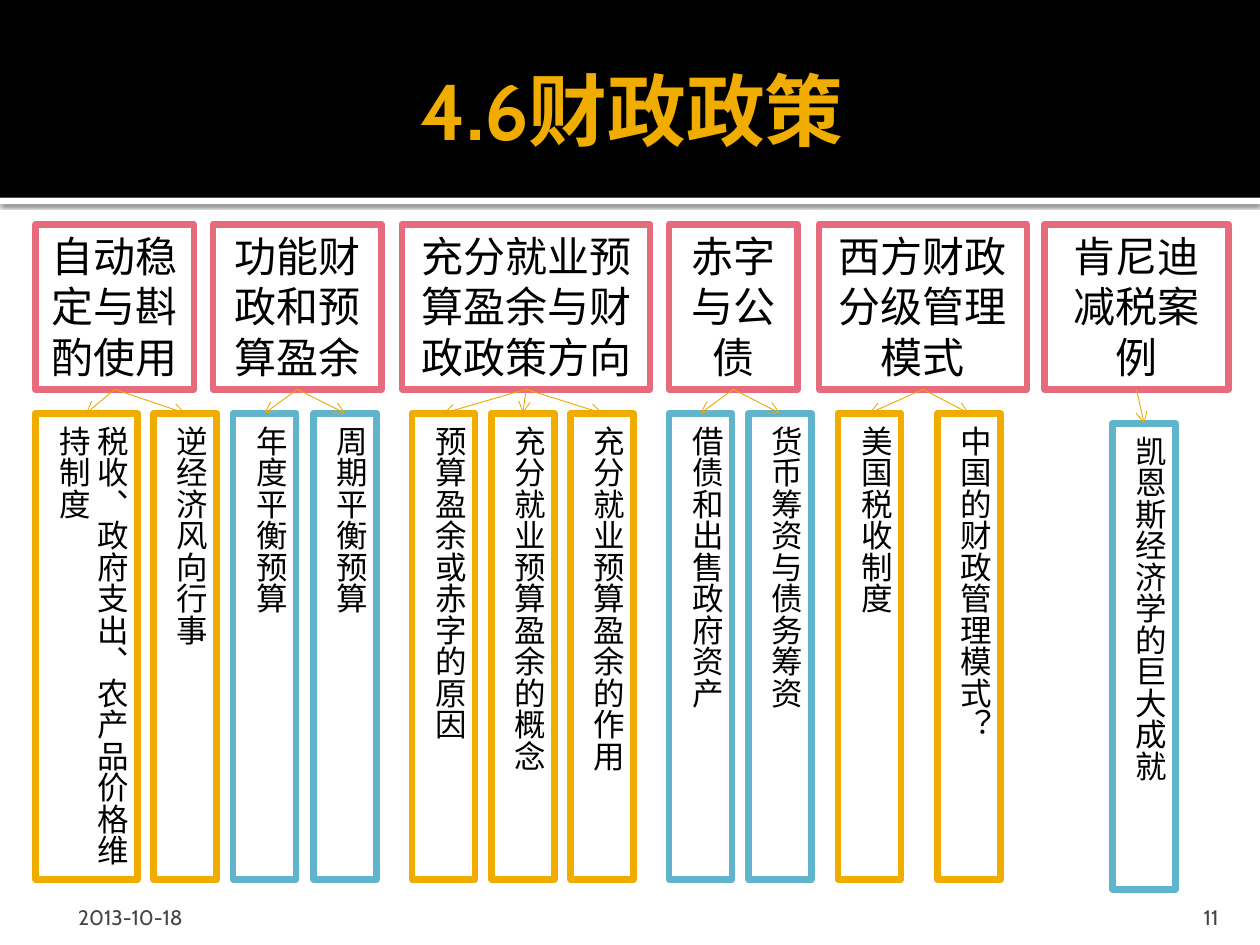
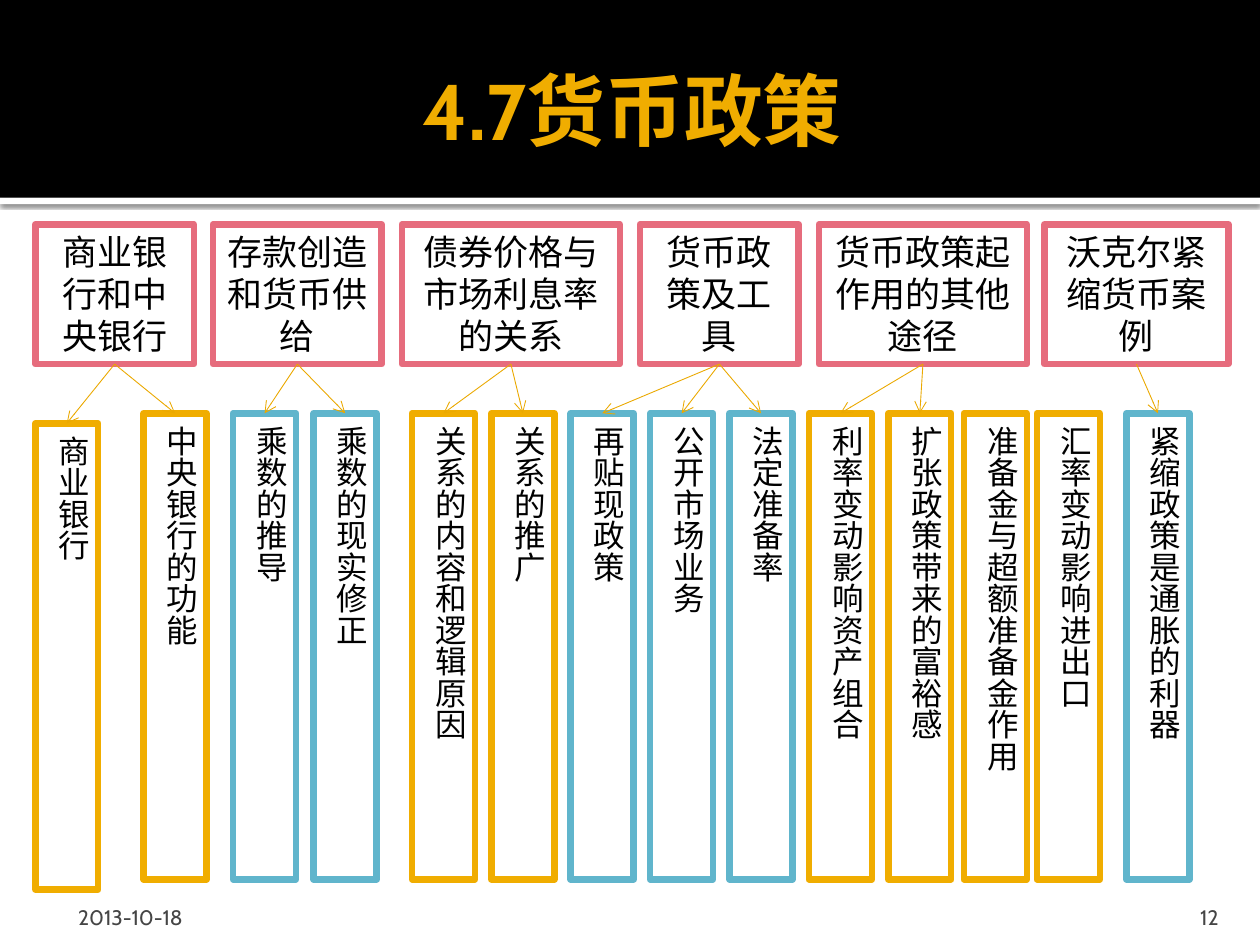
"""Build two policy outline slides with headed columns and arrows."""
from dataclasses import dataclass

import lxml.etree
import pptx
import pptx.dml.color
import pptx.enum.lang
import pptx.enum.shapes
import pptx.enum.text
import pptx.oxml
import pptx.oxml.ns
import pptx.util

Inches = pptx.util.Inches
RGBColor = pptx.dml.color.RGBColor
ALIGN = pptx.enum.text.PP_ALIGN
ANCHOR = pptx.enum.text.MSO_ANCHOR
FIT = pptx.enum.text.MSO_AUTO_SIZE
RECT = pptx.enum.shapes.MSO_SHAPE.RECTANGLE
LINE = pptx.enum.shapes.MSO_CONNECTOR.STRAIGHT
CHINESE = pptx.enum.lang.MSO_LANGUAGE_ID.SIMPLIFIED_CHINESE

BLACK = RGBColor(0x00, 0x00, 0x00)
WHITE = RGBColor(0xFF, 0xFF, 0xFF)
GOLD = RGBColor(0xF0, 0xAD, 0x00)
AMBER = RGBColor(0xEB, 0xA9, 0x00)
ROSE = RGBColor(0xE6, 0x6C, 0x7D)
BLUE = RGBColor(0x60, 0xB5, 0xCC)
GREY = RGBColor(0x45, 0x45, 0x45)
FONT = "Cabin"
HEAD_TOP = 1.78
LEAF_TALL = 3.7
DATE = "2013-10-18"


@dataclass(frozen=True)
class Leaf:
    text: str
    gap: float = 0.13
    wide: float = 0.5
    top: float = 3.28
    linked: bool = True


@dataclass(frozen=True)
class Group:
    text: str
    left: float
    wide: float
    start: float
    hue: RGBColor
    leaves: tuple[Leaf, ...]


@dataclass(frozen=True)
class Page:
    title: str
    number: str
    tall: float
    size: int
    groups: tuple[Group, ...]


PAGES = (
    Page("4.6财政政策", "11", 1.31, 24, (
        Group("自动稳定与斟酌使用", 0.28, 1.26, 0.28, GOLD, (
            Leaf("税收、政府支出、农产品价格维持制度", wide=0.81),
            Leaf("逆经济风向行事"))),
        Group("功能财政和预算盈余", 1.69, 1.34, 1.85, BLUE, (
            Leaf("年度平衡预算", 0.14), Leaf("周期平衡预算"))),
        Group("充分就业预算盈余与财政政策方向", 3.19, 1.97, 3.27, GOLD, (
            Leaf("预算盈余或赤字的原因"),
            Leaf("充分就业预算盈余的概念"),
            Leaf("充分就业预算盈余的作用"))),
        Group("赤字与公债", 5.31, 1.02, 5.31, BLUE, (
            Leaf("借债和出售政府资产"), Leaf("货币筹资与债务筹资"))),
        Group("西方财政分级管理模式", 6.5, 1.65, 6.65, GOLD, (
            Leaf("美国税收制度", 0.29), Leaf("中国的财政管理模式？"))),
        Group("肯尼迪减税案例", 8.29, 1.46, 8.83, BLUE, (
            Leaf("凯恩斯经济学的巨大成就", top=3.36),)),
    )),
    Page("4.7货币政策", "12", 1.11, 20, (
        Group("商业银行和中央银行", 0.28, 1.26, 0.28, GOLD, (
            Leaf("商业银行", 0.36, top=3.36), Leaf("中央银行的功能"))),
        Group("存款创造和货币供给", 1.69, 1.34, 1.85, BLUE, (
            Leaf("乘数的推导", 0.14), Leaf("乘数的现实修正"))),
        Group("债券价格与市场利息率的关系", 3.19, 1.73, 3.27, GOLD, (
            Leaf("关系的内容和逻辑原因"), Leaf("关系的推广"))),
        Group("货币政策及工具", 5.08, 1.26, 4.53, BLUE, (
            Leaf("再贴现政策"), Leaf("公开市场业务"), Leaf("法定准备率"))),
        Group("货币政策起作用的其他途径", 6.5, 1.65, 6.42, GOLD, (
            Leaf("利率变动影响资产组合"),
            Leaf("扩张政策带来的富裕感", 0.1),
            Leaf("准备金与超额准备金作用", 0.08, linked=False),
            Leaf("汇率变动影响进出口", linked=False))),
        Group("沃克尔紧缩货币案例", 8.29, 1.46, 8.94, BLUE, (
            Leaf("紧缩政策是通胀的利器"),)),
    )),
)


def write(shape, text: str, size: int, hue: RGBColor, align=ALIGN.LEFT,
          anchor=ANCHOR.TOP, pads=(0.1, 0.05, 0.1, 0.05), bold=False) -> None:
    frame = shape.text_frame
    frame.text = text
    frame.word_wrap = True
    frame.vertical_anchor = anchor
    (frame.margin_left, frame.margin_top,
     frame.margin_right, frame.margin_bottom) = map(Inches, pads)
    line = frame.paragraphs[0]
    line.alignment = align
    for run in line.runs:
        run.font.name = FONT
        run.font.size = pptx.util.Pt(size)
        run.font.bold = bold
        run.font.color.rgb = hue
        run.font.language_id = CHINESE


def add_rect(slide, left: float, top: float, wide: float, tall: float,
             fill: RGBColor, edge: RGBColor | None = None):
    rect = slide.shapes.add_shape(RECT, *map(Inches, (left, top, wide, tall)))
    rect.shadow.inherit = False
    rect.fill.solid()
    rect.fill.fore_color.rgb = fill
    if edge is None:
        rect.line.fill.background()
    else:
        rect.line.color.rgb = edge
        rect.line.width = pptx.util.Pt(3.78)
    return rect


def add_box(slide, text: str, left: float, top: float, wide: float,
            tall: float, edge: RGBColor, size: int, align=ALIGN.LEFT):
    box = add_rect(slide, left, top, wide, tall, WHITE, edge)
    write(box, text, size, BLACK, align)
    box.text_frame.auto_size = FIT.SHAPE_TO_FIT_TEXT
    return box


def add_arrow(slide, head, leaf) -> None:
    arrow = slide.shapes.add_connector(LINE, 0, 0, 0, 0)
    arrow.begin_connect(head, 2)
    arrow.end_connect(leaf, 0)
    arrow.line.color.rgb = AMBER
    arrow.line.width = pptx.util.Pt(0.5)
    qn = pptx.oxml.ns.qn
    tail = lxml.etree.SubElement(arrow.line._get_or_add_ln(), qn("a:tailEnd"))
    tail.set("type", "arrow")
    lxml.etree.SubElement(arrow.element.spPr, qn("a:effectLst"))


def add_group(slide, group: Group, page: Page) -> None:
    head = add_box(slide, group.text, group.left, HEAD_TOP, group.wide,
                   page.tall, ROSE, page.size, ALIGN.CENTER)
    left = group.start
    for leaf in group.leaves:
        box = add_box(slide, leaf.text, left, leaf.top, leaf.wide,
                      LEAF_TALL, group.hue, 18)
        box.element.txBody.bodyPr.set("vert", "eaVert")
        if leaf.linked:
            add_arrow(slide, head, box)
        left += leaf.wide + leaf.gap


def add_bands(slide, layout) -> None:
    strip = add_rect(slide, 0, 1.57, 10, 0.05, WHITE)
    band = add_rect(slide, 0, 0, 10, 1.57, BLACK)
    glow = pptx.oxml.parse_xml(
        f'<a:outerShdw {pptx.oxml.ns.nsdecls("a")} blurRad="31750" '
        'dist="10160" dir="5400000" algn="tl" rotWithShape="0">'
        '<a:srgbClr val="000000"><a:alpha val="60000"/></a:srgbClr>'
        '</a:outerShdw>')
    strip.element.spPr.find(pptx.oxml.ns.qn("a:effectLst")).append(glow)
    for spot, part in enumerate((strip, band), 2):
        layout.shapes.element.insert(spot, part.element)


def add_note(slide, text: str, left: float, wide: float, align,
             pads: tuple[float, ...]) -> None:
    note = slide.shapes.add_textbox(*map(Inches, (left, 7.08, wide, 0.3)))
    write(note, text, 12, GREY, align, ANCHOR.BOTTOM, pads)


def add_page(deck, layout, page: Page):
    slide = deck.slides.add_slide(layout)
    title = slide.shapes.title
    title.left, title.top, title.width, title.height = map(
        Inches, (0.49, 0.18, 9, 1.37))
    write(title, page.title, 45, GOLD, ALIGN.CENTER, ANCHOR.MIDDLE,
          (0.1, 0.05, 0.05, 0.05), True)
    title.text_frame.auto_size = FIT.NONE
    add_note(slide, DATE, 0.5, 2.33, ALIGN.LEFT, (0.12, 0.05, 0.05, 0))
    add_note(slide, page.number, 8.97, 0.8, ALIGN.RIGHT, (0.1, 0.05, 0.1, 0))
    for group in page.groups:
        add_group(slide, group, page)
    return slide


def main() -> None:
    deck = pptx.Presentation()
    deck.slide_width, deck.slide_height = Inches(10), Inches(7.5)
    layout = deck.slide_layouts[5]
    slides = [add_page(deck, layout, page) for page in PAGES]
    add_bands(slides[0], layout)
    deck.save("out.pptx")


if __name__ == "__main__":
    main()
